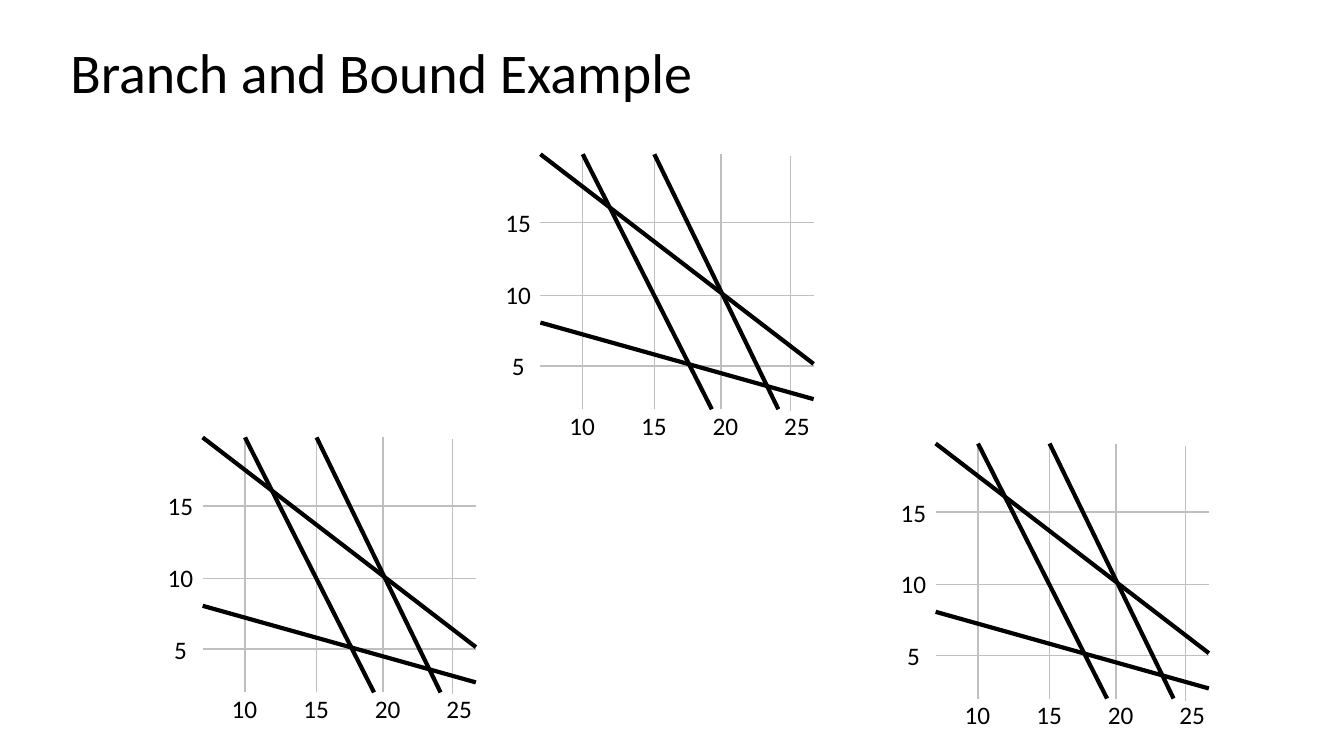
from lxml import etree
from pptx import Presentation
from pptx.dml.color import RGBColor
from pptx.enum import shapes, text
from pptx.oxml.ns import qn
from pptx.util import Inches, Pt

BLACK, GRID_GREY = "000000", "BFBFBF"


def add_text(container, words, left, top, width, height, size=18, wrap=False,
             align=text.PP_ALIGN.LEFT, anchor=text.MSO_ANCHOR.TOP, line_spacing=1.0):
    box = container.add_textbox(Inches(left), Inches(top), Inches(width), Inches(height))
    frame = box.text_frame
    frame.word_wrap = wrap
    frame.vertical_anchor = anchor
    paragraph = frame.paragraphs[0]
    paragraph.alignment = align
    paragraph.line_spacing = line_spacing
    run = paragraph.add_run()
    run.text = words
    run.font.name = "Calibri"
    run.font.size = Pt(size)
    run.font.color.rgb = RGBColor.from_string(BLACK)


def add_line(container, x1, y1, x2, y2, color, weight):
    line = container.add_connector(shapes.MSO_CONNECTOR.STRAIGHT,
                                   Inches(x1), Inches(y1), Inches(x2), Inches(y2))
    line.line.color.rgb = RGBColor.from_string(color)
    line.line.width = Pt(weight)
    etree.SubElement(line._element.spPr, qn("a:effectLst"))


presentation = Presentation()
presentation.slide_width = Inches(13.33)
presentation.slide_height = Inches(7.5)
slide = presentation.slides.add_slide(presentation.slide_layouts[6])

add_text(slide.shapes, "Branch and Bound Example", 0.6, 0.4, 11.5, 0.69, size=40,
         wrap=True, anchor=text.MSO_ANCHOR.MIDDLE, line_spacing=0.9)

# Everything inside a plot is measured from its top left corner
PLOT_CORNERS = [(9.28, 4.4), (5.36, 1.53), (2.01, 4.34)]
PLOT_WIDTH, PLOT_HEIGHT = 2.71, 2.53
VERTICAL_GRID = [(0.42, 0), (1.13, 0), (1.79, 0), (2.48, 0.02)]
HORIZONTAL_GRID = [0.68, 1.4, 2.1]
CONSTRAINTS = [
    (0.42, 0, 1.7, PLOT_HEIGHT),
    (0, 0, PLOT_WIDTH, 2.08),
    (0, 1.67, PLOT_WIDTH, 2.43),
    (1.13, 0, 2.36, PLOT_HEIGHT),
]
LABEL_STEP, LABEL_HEIGHT = 0.71, 0.4
LABEL_WIDTHS = {1: 0.33, 2: 0.46}  # by number of digits

for left, top in PLOT_CORNERS:
    plot = slide.shapes.add_group_shape().shapes

    for x, drop in VERTICAL_GRID:
        add_line(plot, left + x, top + drop, left + x, top + drop + PLOT_HEIGHT, GRID_GREY, 1)
    for y in HORIZONTAL_GRID:
        add_line(plot, left, top + y, left + PLOT_WIDTH, top + y, GRID_GREY, 1)
    for x1, y1, x2, y2 in CONSTRAINTS:
        add_line(plot, left + x1, top + y1, left + x2, top + y2, BLACK, 3)

    for index, label in enumerate(["10", "15", "20", "25"]):
        add_text(plot, label, left + 0.19 + index * LABEL_STEP, top + 2.49,
                 LABEL_WIDTHS[len(label)], LABEL_HEIGHT)
    for index, label in enumerate(["15", "10", "5"]):
        width = LABEL_WIDTHS[len(label)]
        add_text(plot, label, left - 0.22 - width / 2, top + 0.48 + index * LABEL_STEP,
                 width, LABEL_HEIGHT, align=text.PP_ALIGN.CENTER)

presentation.save("out.pptx")
